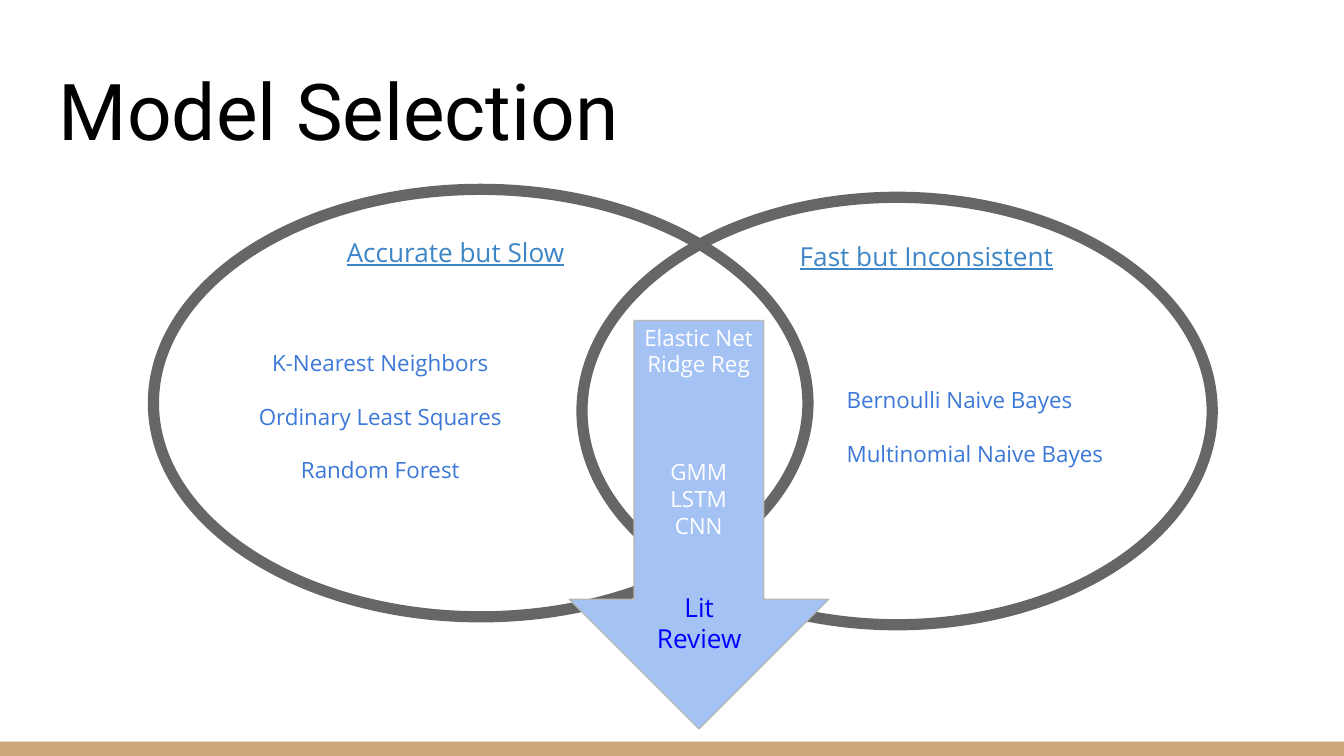
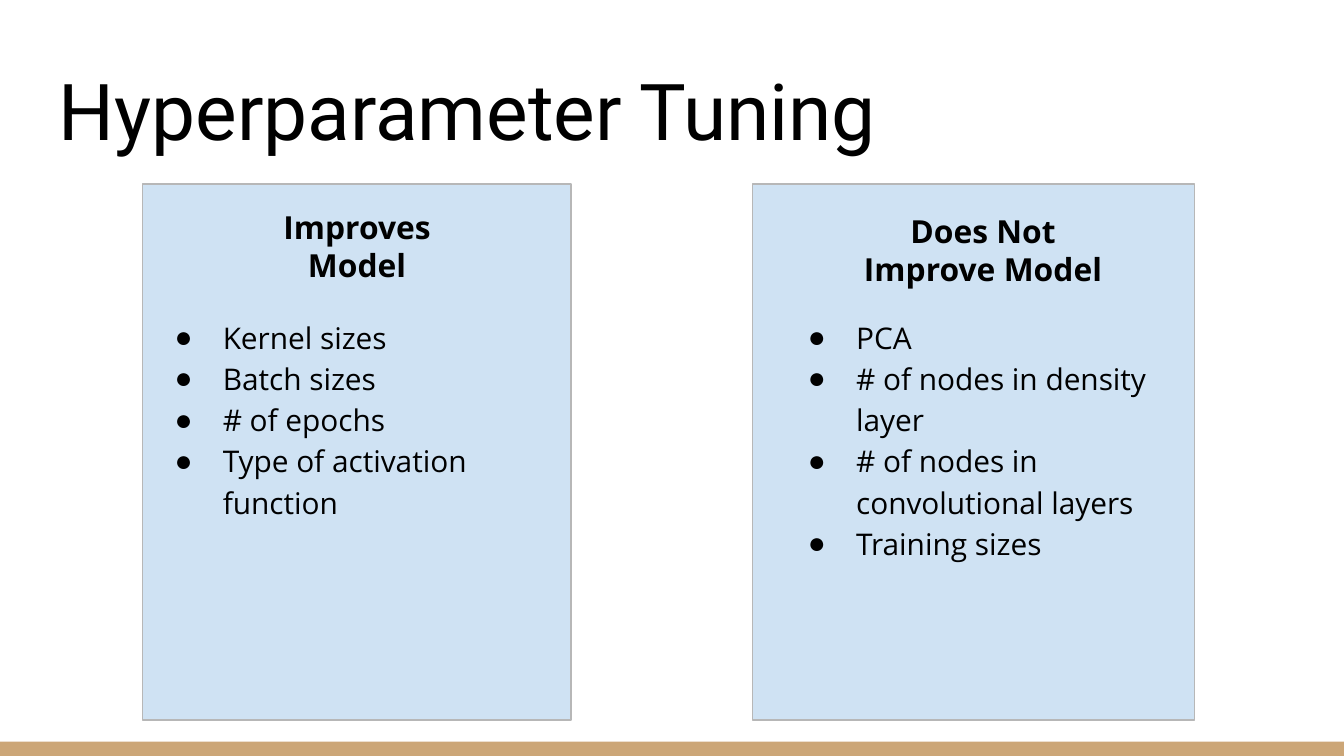
from dataclasses import dataclass
from typing import NamedTuple

from lxml.etree import SubElement
from pptx import Presentation
from pptx.dml.color import RGBColor
from pptx.enum.shapes import MSO_SHAPE
from pptx.enum.text import MSO_ANCHOR, MSO_AUTO_SIZE, PP_ALIGN
from pptx.oxml.ns import qn
from pptx.presentation import Presentation as Deck
from pptx.shapes.autoshape import Shape
from pptx.slide import Slide
from pptx.text.text import TextFrame
from pptx.util import Cm, Pt


@dataclass(frozen=True)
class Theme:
    title_font: str = "Roboto"
    body_font: str = "Open Sans"
    black: str = "000000"
    white: str = "FFFFFF"
    band: str = "CCA677"
    ring: str = "666666"
    edge: str = "B7B7B7"
    arrow: str = "A4C2F4"
    panel: str = "CFE2F3"
    heading: str = "3D85C6"
    model: str = "3C78D8"
    review: str = "0000FF"
    title_size: float = 42
    panel_title_size: float = 17
    list_size: float = 16
    heading_size: float = 14
    model_size: float = 12
    ring_width: float = 6
    edge_width: float = 0.75
    line_height: float = 1.2


THEME = Theme()


class Area(NamedTuple):
    left: float
    top: float
    width: float
    height: float

    def lengths(self) -> tuple[Cm, ...]:
        return tuple(Cm(value) for value in self)


class TextStyle(NamedTuple):
    size: float
    color: str
    font: str = THEME.body_font
    bold: bool = False
    underline: bool = False
    align: PP_ALIGN = PP_ALIGN.CENTER


@dataclass(frozen=True)
class Label:
    area: Area
    lines: tuple[str, ...]
    style: TextStyle
    empty_lines: tuple[int, ...] = ()
    anchor: MSO_ANCHOR = MSO_ANCHOR.TOP


@dataclass(frozen=True)
class Panel:
    area: Area
    title: Label
    list_left: float
    items: tuple[str, ...]


TITLE = TextStyle(THEME.title_size, THEME.black, THEME.title_font, align=PP_ALIGN.LEFT)
HEADING = TextStyle(THEME.heading_size, THEME.heading, underline=True)
MODEL = TextStyle(THEME.model_size, THEME.model)
SHARED_MODEL = MODEL._replace(color=THEME.white)
REVIEW = TextStyle(THEME.heading_size, THEME.review)
PANEL_TITLE = TextStyle(THEME.panel_title_size, THEME.black, bold=True)
LIST = TextStyle(THEME.list_size, THEME.black, align=PP_ALIGN.LEFT)

PAGE = Area(0, 0, 25.4, 14.29)
BAND = Area(0, 14.02, PAGE.width, 0.27)
TITLE_AREA = Area(0.86, 0.89, 23.67, 2.31)
ARROW = Area(9.35, 7.47, 7.72, 4.9)
RINGS = (Area(2.9, 3.58, 12.37, 8.08), Area(11, 3.73, 11.91, 8.08))

MODEL_LABELS = (
    Label(Area(5.97, 4.22, 5.28, 1.12), ("Accurate but Slow",), HEADING),
    Label(Area(14.45, 4.29, 6.12, 1.12), ("Fast but Inconsistent",), HEADING),
    Label(
        Area(4.42, 6.35, 5.54, 3.07),
        ("K-Nearest Neighbors", "Ordinary Least Squares", "Random Forest"),
        MODEL,
        (0, 1, 1),
    ),
    Label(
        Area(15.75, 6.5, 5.84, 2.57),
        ("Bernoulli Naive Bayes", "Multinomial Naive Bayes"),
        MODEL._replace(align=PP_ALIGN.LEFT),
        (0, 1),
        MSO_ANCHOR.BOTTOM,
    ),
    Label(
        Area(11.58, 5.87, 3.25, 4.62),
        ("Elastic Net", "Ridge Reg", "GMM", "LSTM", "CNN"),
        SHARED_MODEL,
        (0, 0, 3, 0, 0),
    ),
    Label(Area(12.01, 10.92, 2.41, 1.7), ("Lit Review",), REVIEW),
)

PANELS = (
    Panel(
        Area(2.69, 3.48, 8.1, 10.13),
        Label(Area(4.17, 3.68, 5.16, 1.96), ("Improves Model",), PANEL_TITLE),
        2.69,
        ("Kernel sizes", "Batch sizes", "# of epochs", "Type of activation function"),
    ),
    Panel(
        Area(14.22, 3.48, 8.36, 10.13),
        Label(Area(16, 3.76, 5.16, 1.96), ("Does Not Improve Model",), PANEL_TITLE),
        14.66,
        (
            "PCA",
            "# of nodes in density layer",
            "# of nodes in convolutional layers",
            "Training sizes",
        ),
    ),
)


def write_text(
    frame: TextFrame,
    lines: tuple[str, ...],
    style: TextStyle,
    anchor: MSO_ANCHOR = MSO_ANCHOR.TOP,
    auto_size: MSO_AUTO_SIZE = MSO_AUTO_SIZE.NONE,
) -> None:
    frame.text = "\n".join(lines)
    frame.word_wrap = True
    frame.auto_size = auto_size
    frame.vertical_anchor = anchor
    frame.margin_left = frame.margin_right = Cm(0.25)
    frame.margin_top = frame.margin_bottom = Cm(0.25)
    for para in frame.paragraphs:
        para.alignment = style.align
        para.space_before = Pt(0)
        for span in para.runs:
            span.font.name = style.font
            span.font.size = Pt(style.size)
            span.font.bold = style.bold
            span.font.underline = style.underline
            span.font.color.rgb = RGBColor.from_string(style.color)


def place(shape: Shape, area: Area) -> None:
    shape.left, shape.top, shape.width, shape.height = area.lengths()


def add_figure(
    page: Slide,
    kind: MSO_SHAPE,
    area: Area,
    fill: str | None = None,
    line: str | None = None,
    line_width: float = THEME.edge_width,
) -> Shape:
    figure = page.shapes.add_shape(kind, *area.lengths())
    figure.shadow.inherit = False
    if fill:
        figure.fill.solid()
        figure.fill.fore_color.rgb = RGBColor.from_string(fill)
    else:
        figure.fill.background()
    if line:
        figure.line.color.rgb = RGBColor.from_string(line)
        figure.line.width = Pt(line_width)
    else:
        figure.line.fill.background()
    return figure


def add_label(page: Slide, label: Label) -> None:
    box = page.shapes.add_textbox(*label.area.lengths())
    frame = box.text_frame
    write_text(
        frame, label.lines, label.style, label.anchor, MSO_AUTO_SIZE.SHAPE_TO_FIT_TEXT
    )
    line_height = label.style.size * THEME.line_height
    for para, count in zip(frame.paragraphs, label.empty_lines):
        para.space_before = Pt(count * line_height)


def fill_list(body: Shape, area: Area, items: tuple[str, ...]) -> None:
    place(body, area)
    write_text(body.text_frame, items, LIST)
    for para in body.text_frame.paragraphs:
        para.line_spacing = 1.15
        properties = para._p.get_or_add_pPr()
        properties.set("marL", str(Cm(1.27)))
        properties.set("indent", str(Cm(-0.91)))
        bullet_color = SubElement(properties, qn("a:buClr"))
        SubElement(bullet_color, qn("a:srgbClr")).set("val", LIST.color)
        SubElement(properties, qn("a:buChar")).set("char", "●")


def add_page(deck: Deck, layout_name: str, title: str) -> Slide:
    page = deck.slides.add_slide(deck.slide_layouts.get_by_name(layout_name))
    place(page.shapes.title, TITLE_AREA)
    write_text(page.shapes.title.text_frame, (title,), TITLE, MSO_ANCHOR.BOTTOM)
    return page


def add_master_band(deck: Deck, page: Slide) -> None:
    band = add_figure(page, MSO_SHAPE.RECTANGLE, BAND, THEME.band)
    master_shapes = deck.slide_master.shapes
    band.element.nvSpPr.cNvPr.set("id", str(len(master_shapes) + 10))
    master_shapes.element.insert(2, band.element)


def build_model_selection(deck: Deck) -> Slide:
    page = add_page(deck, "Title Only", "Model Selection")
    for ring in RINGS:
        add_figure(
            page, MSO_SHAPE.OVAL, ring, line=THEME.ring, line_width=THEME.ring_width
        )
    arrow = add_figure(page, MSO_SHAPE.RIGHT_ARROW, ARROW, THEME.arrow, THEME.edge)
    arrow.rotation = 90
    for label in MODEL_LABELS:
        add_label(page, label)
    return page


def build_hyperparameter_tuning(deck: Deck) -> Slide:
    page = add_page(deck, "Two Content", "Hyperparameter Tuning")
    for position, panel in enumerate(PANELS, start=1):
        card = add_figure(
            page, MSO_SHAPE.RECTANGLE, panel.area, THEME.panel, THEME.edge
        )
        page.shapes.element.insert(2, card.element)
        add_label(page, panel.title)
        list_area = Area(panel.list_left, 5.69, 8.1, 7.59)
        fill_list(page.placeholders[position], list_area, panel.items)
    return page


def main() -> None:
    deck = Presentation()
    deck.slide_width, deck.slide_height = Cm(PAGE.width), Cm(PAGE.height)
    first_page = build_model_selection(deck)
    add_master_band(deck, first_page)
    build_hyperparameter_tuning(deck)
    deck.save("out.pptx")


if __name__ == "__main__":
    main()
